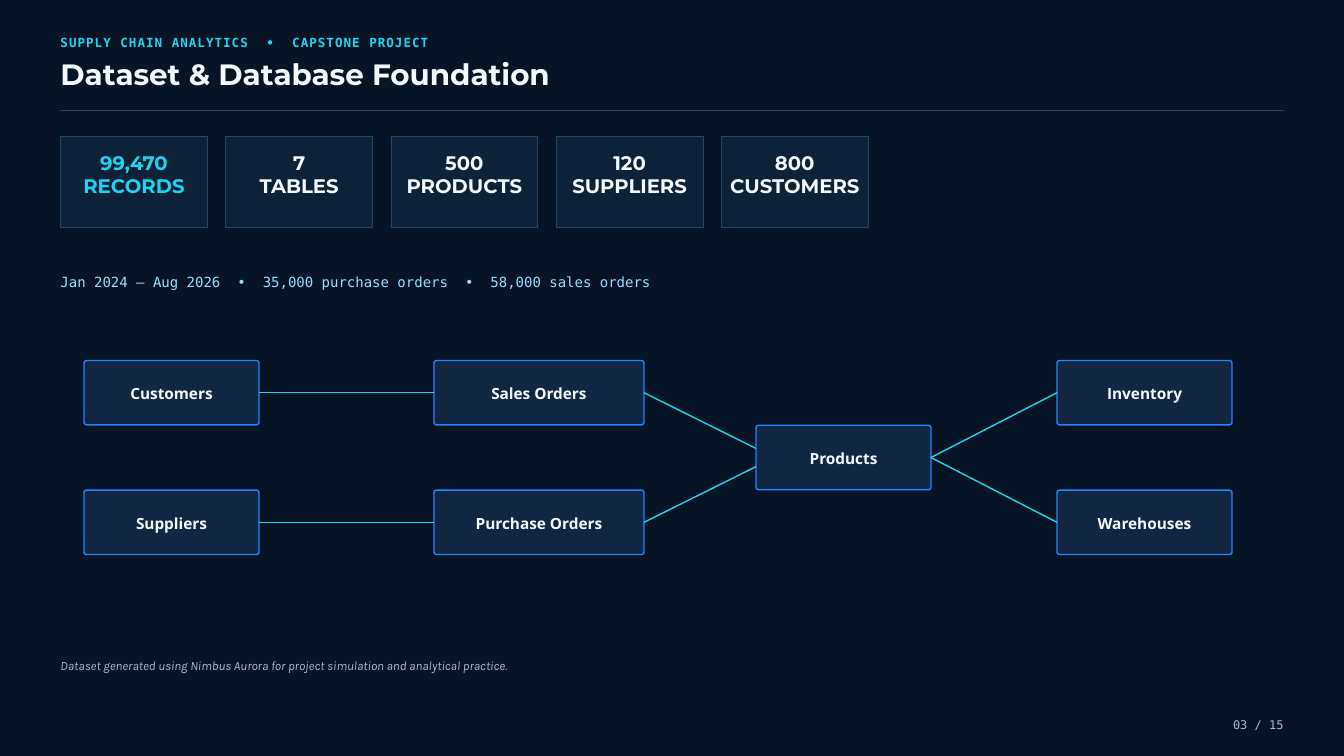
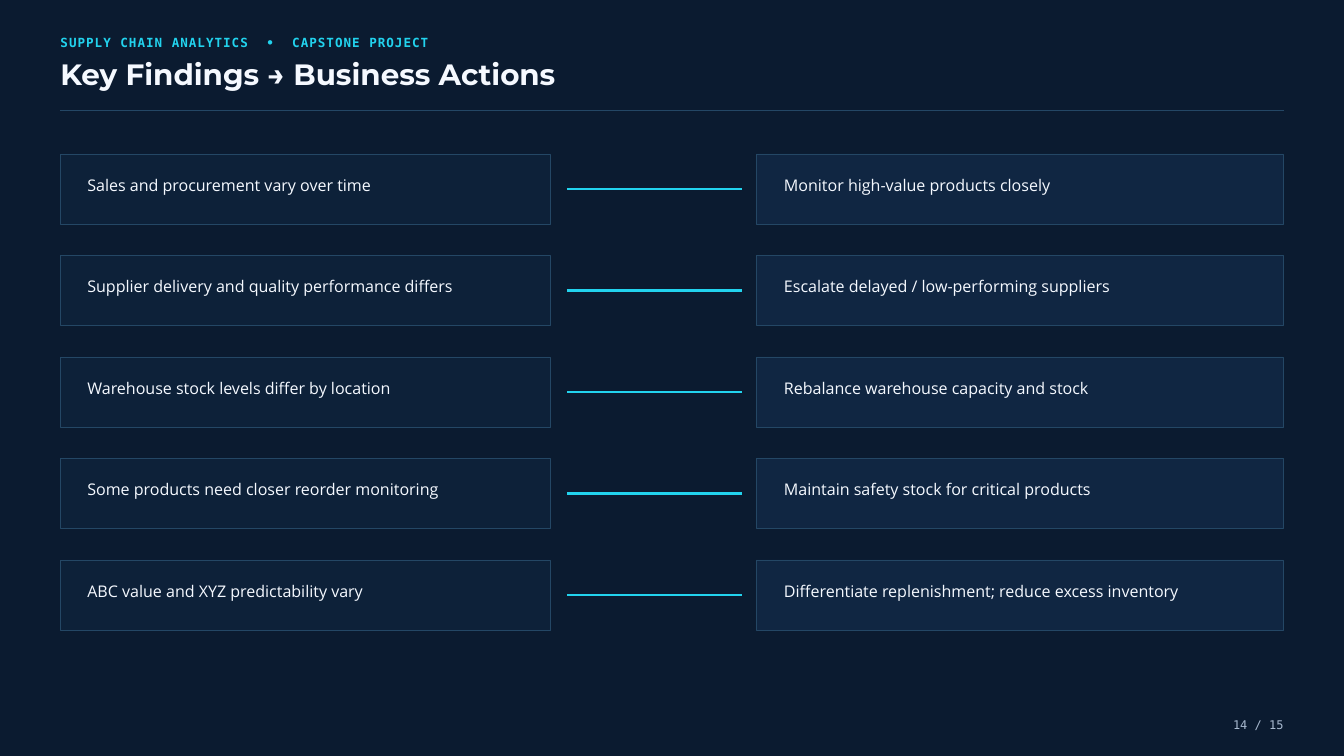
from dataclasses import dataclass
from lxml.etree import SubElement
from pptx import Presentation
from pptx.dml.color import RGBColor
from pptx.enum.shapes import MSO_CONNECTOR as Connector, MSO_SHAPE as Preset
from pptx.enum.text import MSO_ANCHOR as Anchor, MSO_AUTO_SIZE as AutoSize, PP_ALIGN as Align
from pptx.oxml.ns import qn
from pptx.util import Inches, Pt

EYEBROW = ("SUPPLY CHAIN ANALYTICS", "CAPSTONE PROJECT")
SLIDE_TOTAL = 15

DATASET_TITLE = "Dataset & Database Foundation"
METRICS = [
    ("99,470", "RECORDS"),
    ("7", "TABLES"),
    ("500", "PRODUCTS"),
    ("120", "SUPPLIERS"),
    ("800", "CUSTOMERS"),
]
COVERAGE = ("Jan 2024 – Aug 2026", "35,000 purchase orders", "58,000 sales orders")
DATASET_NOTE = "Dataset generated using Nimbus Aurora for project simulation and analytical practice."

ENTITY_COLUMNS = [(6, 12.5), (31, 15), (54, 12.5), (75.5, 12.5)]
ENTITIES = {
    "Customers": (0, 0),
    "Suppliers": (0, 2),
    "Sales Orders": (1, 0),
    "Purchase Orders": (1, 2),
    "Products": (2, 1),
    "Inventory": (3, 0),
    "Warehouses": (3, 2),
}
RELATIONS = [
    ("Customers", "Sales Orders", 0),
    ("Suppliers", "Purchase Orders", 0),
    ("Sales Orders", "Products", -0.65),
    ("Purchase Orders", "Products", 0.65),
    ("Products", "Inventory", 0),
    ("Products", "Warehouses", 0),
]

ACTIONS_TITLE = "Key Findings → Business Actions"
FINDINGS = [
    ("Sales and procurement vary over time", "Monitor high-value products closely"),
    ("Supplier delivery and quality performance differs", "Escalate delayed / low-performing suppliers"),
    ("Warehouse stock levels differ by location", "Rebalance warehouse capacity and stock"),
    ("Some products need closer reorder monitoring", "Maintain safety stock for critical products"),
    ("ABC value and XYZ predictability vary", "Differentiate replenishment; reduce excess inventory"),
]

WIDTH, HEIGHT = Inches(20), Inches(11.25)
GRID_COLUMNS = 96
MARGIN = 4.32
CONTENT_WIDTH = GRID_COLUMNS - 2 * MARGIN
MONO_ADVANCE = 0.602
LEFT_SITE, RIGHT_SITE = 1, 3


@dataclass(frozen=True)
class TextStyle:
    font: str
    size: float
    leading: float
    color: str
    bold: bool = False
    italic: bool = False
    tracking: float = 0
    align: Align = Align.LEFT


class Theme:
    night, navy = "071426", "0B1B30"
    panel, panel_blue = "0D2139", "102642"
    rule, blue, cyan = "244765", "2684FF", "22D3EE"
    white, muted, sky = "F5F9FF", "A9BAD0", "9BDCFF"
    mono, heading, body = "DejaVu Sans Mono", "Montserrat", "Open Sans"

    eyebrow = TextStyle(mono, 13.5, 18.9, cyan, bold=True, tracking=1.1)
    title = TextStyle(heading, 31.5, 35.3, white, bold=True)
    page = TextStyle(mono, 12.8, 17.8, muted, align=Align.RIGHT)
    metric = TextStyle(heading, 21, 25.2, white, bold=True, align=Align.CENTER)
    lead_metric = TextStyle(heading, 21, 25.2, cyan, bold=True, align=Align.CENTER)
    entity = TextStyle(body, 16.5, 23.1, white, bold=True, align=Align.CENTER)
    coverage = TextStyle(mono, 15, 21, sky)
    note = TextStyle("Karla", 13.5, 18.9, muted, italic=True)
    finding = TextStyle(body, 17.2, 24.1, white)


def grid(units):
    return round(units * WIDTH / GRID_COLUMNS)


def color(code):
    return RGBColor.from_string(code)


def add_run(paragraph, text, style, tracking):
    run = paragraph.add_run()
    run.text = text
    font = run.font
    font.name, font.size = style.font, Pt(style.size)
    font.bold, font.italic = style.bold, style.italic
    font.color.rgb = color(style.color)
    if tracking:
        run._r.get_or_add_rPr().set("spc", str(round(tracking * 100)))


def write(frame, lines, style, insets=(0, 0, 0, 0), anchor=Anchor.TOP):
    frame.word_wrap = True
    frame.vertical_anchor = anchor
    frame.margin_left, frame.margin_top, frame.margin_right, frame.margin_bottom = map(grid, insets)
    wide_space = style.size * MONO_ADVANCE + 2 * style.tracking
    for index, line in enumerate(lines):
        paragraph = frame.add_paragraph() if index else frame.paragraphs[0]
        paragraph.alignment = style.align
        paragraph.line_spacing = Pt(style.leading)
        parts = (line,) if isinstance(line, str) else line
        for position, part in enumerate(parts):
            if position:
                add_run(paragraph, " ", style, wide_space)
                add_run(paragraph, "•", style, style.tracking)
                add_run(paragraph, " ", style, wide_space)
            add_run(paragraph, part, style, style.tracking)


def add_label(slide, left, top, width, line, style):
    height = Pt(style.leading)
    box = slide.shapes.add_textbox(grid(left), grid(top), grid(width), height)
    write(box.text_frame, [line], style)
    box.text_frame.auto_size = AutoSize.SHAPE_TO_FIT_TEXT


def add_panel(slide, left, top, width, height, fill, line=Theme.rule, weight=0.75, preset=Preset.RECTANGLE):
    panel = slide.shapes.add_shape(preset, grid(left), grid(top), grid(width), grid(height))
    panel.shadow.inherit = False
    panel.fill.solid()
    panel.fill.fore_color.rgb = color(fill)
    panel.line.color.rgb = color(line)
    panel.line.width = Pt(weight)
    return panel


def add_line(slide, start, end, line, weight):
    connector = slide.shapes.add_connector(Connector.STRAIGHT, *start, *end)
    connector.line.color.rgb = color(line)
    connector.line.width = Pt(weight)
    SubElement(connector._element.spPr, qn("a:effectLst"))
    return connector


def add_base_slide(presentation, title, number, background):
    slide = presentation.slides.add_slide(presentation.slide_layouts[6])
    slide.background.fill.solid()
    slide.background.fill.fore_color.rgb = color(background)
    add_label(slide, MARGIN, 2.3, 45, EYEBROW, Theme.eyebrow)
    add_label(slide, MARGIN, 4.18, 75, title, Theme.title)
    rule_y = grid(7.92)
    add_line(slide, (grid(MARGIN), rule_y), (grid(MARGIN + CONTENT_WIDTH), rule_y), Theme.rule, 1)
    page_width = 6.48
    add_label(slide, MARGIN + CONTENT_WIDTH - page_width, 51.12, page_width,
              f"{number:02d} / {SLIDE_TOTAL}", Theme.page)
    return slide


def add_metrics(slide):
    top, width, height, pitch = 9.75, 10.5, 6.5, 11.8
    for index, metric in enumerate(METRICS):
        card = add_panel(slide, MARGIN + index * pitch, top, width, height, Theme.panel)
        style = Theme.metric if index else Theme.lead_metric
        write(card.text_frame, metric, style, insets=(0, 1, 0, 0))


def add_entity_map(slide):
    top, height, pitch = 25.75, 4.6, 4.63
    nodes = {}
    for name, (column, row) in ENTITIES.items():
        left, width = ENTITY_COLUMNS[column]
        node = add_panel(slide, left, top + row * pitch, width, height, Theme.panel_blue,
                         Theme.blue, 1.5, Preset.ROUNDED_RECTANGLE)
        node.adjustments[0] = 0.04
        write(node.text_frame, [name], Theme.entity, insets=(0.3, 0.3, 0.3, 0.4), anchor=Anchor.MIDDLE)
        nodes[name] = node
    for source_name, target_name, offset in RELATIONS:
        source, target = nodes[source_name], nodes[target_name]
        start = (source.left + source.width, source.top + source.height // 2)
        end = (target.left, target.top + target.height // 2 + grid(offset))
        relation = add_line(slide, start, end, Theme.cyan, 1.5)
        relation.begin_connect(source, RIGHT_SITE)
        if not offset:
            relation.end_connect(target, LEFT_SITE)


def add_findings(slide):
    top, height, pitch = 11, 5, 7.25
    finding_width, action_left = 35, 54
    link_start, link_end = 40.5, 53
    action_width = MARGIN + CONTENT_WIDTH - action_left
    for row, (finding, action) in enumerate(FINDINGS):
        row_top = top + row * pitch
        finding_card = add_panel(slide, MARGIN, row_top, finding_width, height, Theme.panel)
        write(finding_card.text_frame, [finding], Theme.finding, insets=(1.92, 1.3, 1.92, 0))
        middle = grid(row_top + height / 2)
        add_line(slide, (grid(link_start), middle), (grid(link_end), middle), Theme.cyan, 3)
        action_card = add_panel(slide, action_left, row_top, action_width, height, Theme.panel_blue)
        write(action_card.text_frame, [action], Theme.finding, insets=(2, 1.3, 2, 0))


def main():
    presentation = Presentation()
    presentation.slide_width, presentation.slide_height = WIDTH, HEIGHT

    dataset = add_base_slide(presentation, DATASET_TITLE, 3, Theme.night)
    add_metrics(dataset)
    add_entity_map(dataset)
    add_label(dataset, MARGIN, 19.34, 60, COVERAGE, Theme.coverage)
    add_label(dataset, MARGIN, 46.85, 70, DATASET_NOTE, Theme.note)

    actions = add_base_slide(presentation, ACTIONS_TITLE, 14, Theme.navy)
    add_findings(actions)

    presentation.save("out.pptx")


if __name__ == "__main__":
    main()
